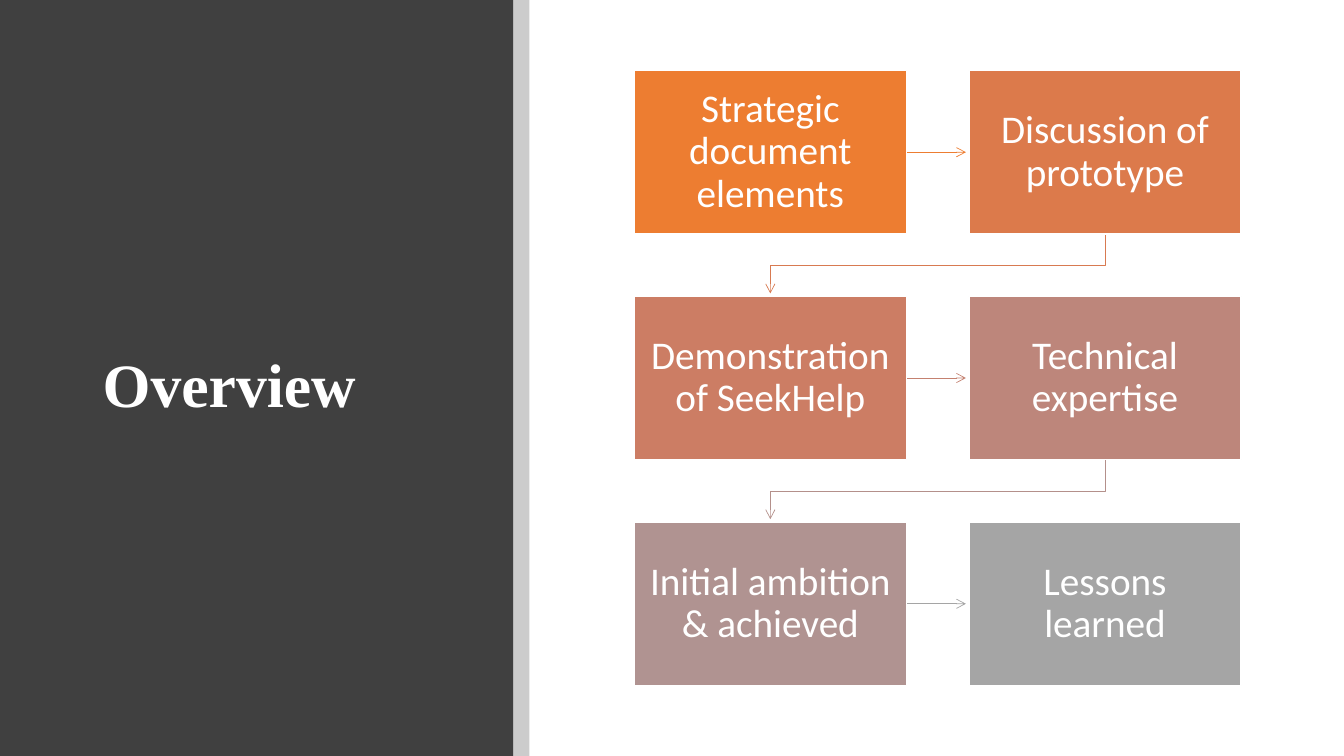
from dataclasses import dataclass

from lxml.etree import SubElement
from pptx import Presentation
from pptx.dml.color import RGBColor
from pptx.enum.shapes import MSO_CONNECTOR, MSO_SHAPE
from pptx.enum.text import MSO_ANCHOR, PP_ALIGN
from pptx.oxml.ns import qn
from pptx.util import Inches, Pt


@dataclass(frozen=True)
class Theme:
    white: str = "FFFFFF"
    panel: str = "404040"
    strip: str = "000000"
    strip_opacity: int = 20
    steps: tuple = ("ED7D31", "DC7A4B", "CC7D64", "BD867B", "B09391", "A5A5A5")
    arrows: tuple = ("ED7D31", "D87A51", "C48170", "B4908B", "A5A5A5")
    title_font: str = "Times New Roman"
    title_size: int = 44
    step_font: str = "Calibri"
    step_size: int = 28
    arrow_width: float = 0.5


class SlideBuilder:
    def __init__(self, slide, theme):
        self.slide = slide
        self.theme = theme

    def rectangle(self, left, top, width, height, color, opacity=100, outline=None):
        shape = self.slide.shapes.add_shape(
            MSO_SHAPE.RECTANGLE, Inches(left), Inches(top), Inches(width), Inches(height))
        shape.shadow.inherit = False
        shape.fill.solid()
        shape.fill.fore_color.rgb = RGBColor.from_string(color)
        if opacity < 100:
            fill_color = shape.element.spPr.find(qn("a:solidFill"))[0]
            SubElement(fill_color, qn("a:alpha"), val=str(opacity * 1000))
        if outline:
            shape.line.color.rgb = RGBColor.from_string(outline)
            shape.line.width = Pt(1)
        else:
            shape.line.fill.background()
        return shape

    def set_text(self, shape, text, alignment, font_format, margins):
        frame = shape.text_frame
        frame_format = {"word_wrap": True, "vertical_anchor": MSO_ANCHOR.MIDDLE}
        for side, margin in margins.items():
            frame_format[f"margin_{side}"] = Inches(margin)
        for name, value in frame_format.items():
            setattr(frame, name, value)
        paragraph = frame.paragraphs[0]
        paragraph.text = text
        paragraph.alignment = alignment
        paragraph.line_spacing = 0.9
        for name, value in font_format.items():
            setattr(paragraph.font, name, value)
        paragraph.font.color.rgb = RGBColor.from_string(self.theme.white)

    def title(self, text, left, top, width, height):
        box = self.slide.shapes.add_textbox(
            Inches(left), Inches(top), Inches(width), Inches(height))
        font_format = {"name": self.theme.title_font,
                       "size": Pt(self.theme.title_size), "bold": True}
        margins = {"left": 0.1, "right": 0.1, "top": 0.05, "bottom": 0.05}
        self.set_text(box, text, PP_ALIGN.LEFT, font_format, margins)

    def step(self, text, left, top, width, height, color):
        shape = self.rectangle(left, top, width, height, color, outline=self.theme.white)
        font_format = {"name": self.theme.step_font, "size": Pt(self.theme.step_size)}
        margins = {"left": 0.13, "right": 0.13, "top": 0.14, "bottom": 0.14}
        self.set_text(shape, text, PP_ALIGN.CENTER, font_format, margins)

    def arrow(self, points, color):
        points = [(Inches(x), Inches(y)) for x, y in points]
        if len(points) == 2:
            shape = self.slide.shapes.add_connector(
                MSO_CONNECTOR.STRAIGHT, *points[0], *points[1])
        else:
            builder = self.slide.shapes.build_freeform(*points[0])
            builder.add_line_segments(points[1:], close=False)
            shape = builder.convert_to_shape()
            shape.fill.background()
        shape.line.color.rgb = RGBColor.from_string(color)
        shape.line.width = Pt(self.theme.arrow_width)
        properties = shape.element.spPr
        SubElement(properties.find(qn("a:ln")), qn("a:tailEnd"), type="arrow")
        SubElement(properties, qn("a:effectLst"))


STEPS = (
    "Strategic document elements",
    "Discussion of prototype",
    "Demonstration of SeekHelp",
    "Technical expertise",
    "Initial ambition & achieved",
    "Lessons learned",
)
GRID_LEFT, GRID_TOP = 6.29, 0.7
STEP_WIDTH, STEP_HEIGHT = 2.7, 1.62
COLUMN_PITCH, ROW_PITCH = 3.32, 2.24
ARROW_REACH = 0.59
ELBOW_DROP = 0.31


def step_corner(index):
    row, column = divmod(index, 2)
    return GRID_LEFT + column * COLUMN_PITCH, GRID_TOP + row * ROW_PITCH


def arrow_points(index):
    left, top = step_corner(index)
    if index % 2 == 0:
        start, middle = left + STEP_WIDTH, top + STEP_HEIGHT / 2
        return [(start, middle), (start + ARROW_REACH, middle)]
    center, bottom = left + STEP_WIDTH / 2, top + STEP_HEIGHT
    next_center, bend = center - COLUMN_PITCH, bottom + ELBOW_DROP
    return [(center, bottom), (center, bend), (next_center, bend),
            (next_center, bottom + ARROW_REACH)]


def main():
    presentation = Presentation()
    presentation.slide_width = Inches(13.33)
    presentation.slide_height = Inches(7.5)
    theme = Theme()
    builder = SlideBuilder(
        presentation.slides.add_slide(presentation.slide_layouts[6]), theme)

    # Title panel and its edge strip
    builder.rectangle(0, 0, 5.09, 7.5, theme.panel)
    builder.title("Overview", 0.92, 0.89, 3.65, 5.91)
    builder.rectangle(5.09, 0, 0.16, 7.5, theme.strip, theme.strip_opacity)

    # Arrows from each step to the next
    for index, color in enumerate(theme.arrows):
        builder.arrow(arrow_points(index), color)

    # Steps in two columns
    for index, (text, color) in enumerate(zip(STEPS, theme.steps)):
        builder.step(text, *step_corner(index), STEP_WIDTH, STEP_HEIGHT, color)

    presentation.save("out.pptx")


if __name__ == "__main__":
    main()
